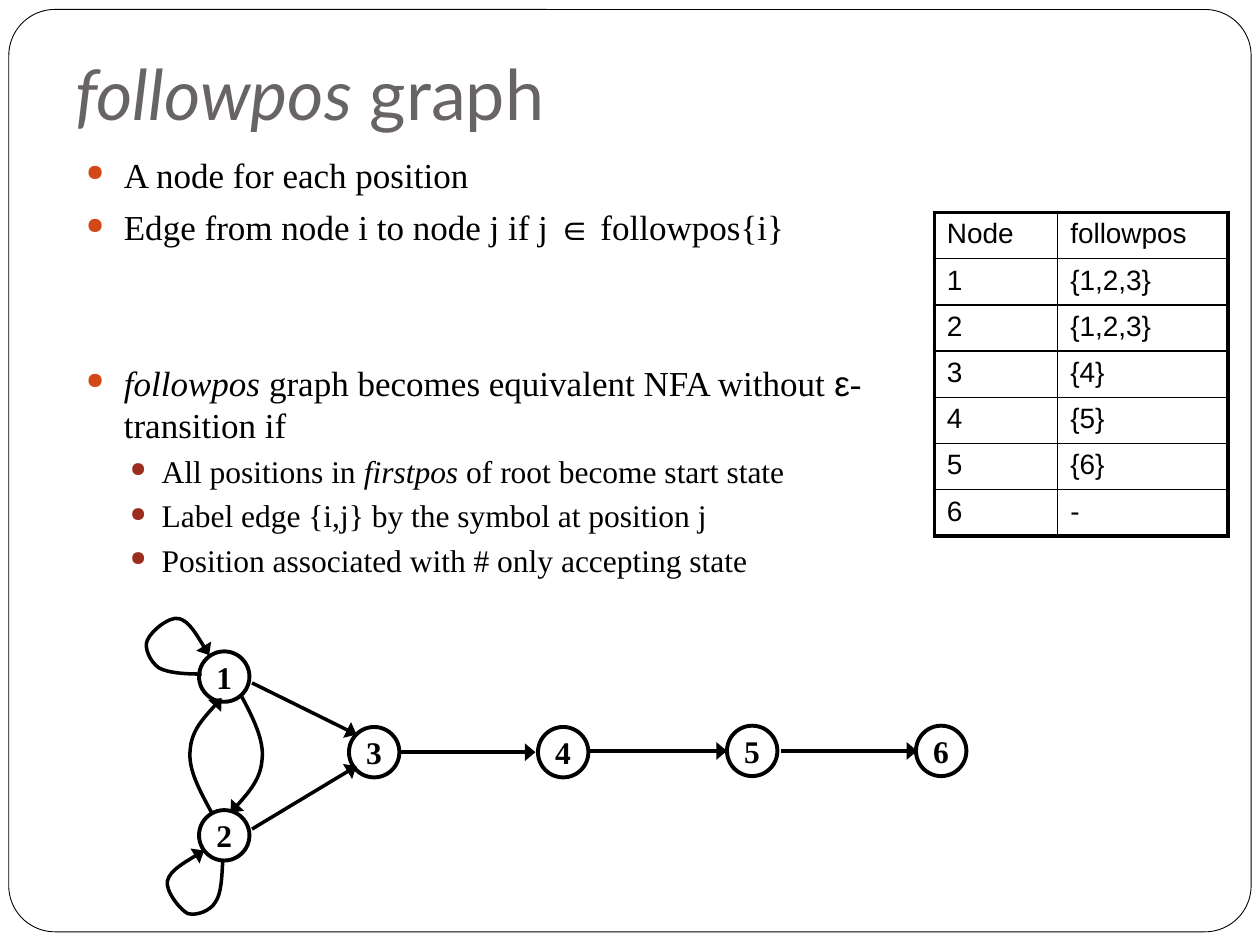
from pptx import Presentation
from pptx import util as u
from pptx.dml.color import RGBColor
from pptx.enum import shapes, text
from pptx.oxml import parse_xml
from pptx.oxml.ns import nsdecls, qn

hues = {"ink": "000000", "paper": "FFFFFF", "title": "696464",
        "main": "D34817", "sub": "9B2D1F"}
rgb = {name: RGBColor.from_string(code) for name, code in hues.items()}
ns = nsdecls("a")
serif = "Times New Roman"

deck = Presentation()
deck.slide_width, deck.slide_height = u.Inches(10), u.Inches(7.5)
slide = deck.slides.add_slide(deck.slide_layouts[6])
unit = deck.slide_width / 100


def grid(*cells):
    return [u.Emu(round(cell * unit)) for cell in cells]


def arrow(edge):
    edge.line.color.rgb = rgb["ink"]
    edge.line.width = u.Pt(2)
    props = edge.element.spPr
    props.find(qn("a:ln")).append(
        parse_xml(f'<a:tailEnd {ns} type="triangle" w="lg" len="med"/>'))
    props.append(parse_xml(f"<a:effectLst {ns}/>"))


frame = slide.shapes.add_shape(shapes.MSO_SHAPE.ROUNDED_RECTANGLE, *grid(0.7, 0.75, 98.6, 73.2))
frame.adjustments[0] = 0.05
frame.shadow.inherit = False
frame.fill.solid()
frame.fill.fore_color.rgb = rgb["paper"]
frame.line.color.rgb = rgb["ink"]
frame.line.width = u.Pt(0.5)

title = slide.shapes.add_textbox(*grid(5, 3, 81.7, 8.7)).text_frame
title.word_wrap = True
title.vertical_anchor = text.MSO_ANCHOR.BOTTOM
title.margin_bottom = grid(1)[0]
para = title.paragraphs[0]
para.font.size = u.Pt(40)
para.font.name = "Lato"
para.font.color.rgb = rgb["title"]
for words, slant in [("followpos", True), (" graph", False)]:
    run = para.add_run()
    run.text = words
    run.font.italic = slant

levels = [("main", 20, 5.8, 3, 3), ("sub", 18, 3.8, 6, 2.5)]
points = [
    (0, 0, [("A node for each position", "")]),
    (0, 0, [("Edge from node i to node j if j ∈ followpos{i}", "")]),
    (0, 59, [("followpos", "slant"), (" graph becomes equivalent NFA without ", ""),
             ("ε", "sans"), ("-transition if", "")]),
    (1, 0, [("All positions in ", ""), ("firstpos", "slant"),
            (" of root become start state", "")]),
    (1, 0, [("Label edge {i,j} by the symbol at position j", "")]),
    (1, 0, [("Position associated with # only accepting state", "")]),
]
body = slide.shapes.add_textbox(*grid(5.85, 11.7, 65, 61.7)).text_frame
body.word_wrap = True
for at, (level, gap, runs) in enumerate(points):
    hue, size, space, left, hang = levels[level]
    para = body.paragraphs[0] if at == 0 else body.add_paragraph()
    para.level = level
    para.space_before = u.Pt(space + gap)
    props = para._p.get_or_add_pPr()
    props.set("marL", str(grid(left)[0]))
    props.set("indent", str(-grid(hang)[0]))
    for tag in (f'<a:buClr {ns}><a:srgbClr val="{hues[hue]}"/></a:buClr>',
                f'<a:buSzPct {ns} val="65000"/>',
                f'<a:buChar {ns} char="●"/>'):
        props.append(parse_xml(tag))
    para.font.size = u.Pt(size)
    para.font.name = serif
    para.font.color.rgb = rgb["ink"]
    for words, style in runs:
        run = para.add_run()
        run.text = words
        if style == "slant":
            run.font.italic = True
        if style == "sans":
            run.font.name = "Arial"

rows = [("Node", "followpos"), ("1", "{1,2,3}"), ("2", "{1,2,3}"),
        ("3", "{4}"), ("4", "{5}"), ("5", "{6}"), ("6", "-")]
last = len(rows) - 1
table = slide.shapes.add_table(len(rows), 2, *grid(74.15, 16.85, 23.3, 25.7)).table
table.first_row = table.horz_banding = False
table.columns[0].width, table.columns[1].width = grid(9.8, 13.5)
for r, row in enumerate(rows):
    for c, words in enumerate(row):
        cell = table.cell(r, c)
        cell.text = words
        font = cell.text_frame.paragraphs[0].font
        font.size = u.Pt(16)
        font.name = "Arial"
        font.color.rgb = rgb["ink"]
        cell.fill.background()
        outer = [("L", c == 0), ("R", c == 1), ("T", r == 0), ("B", r == last)]
        for at, (side, thick) in enumerate(outer):
            width = u.Pt(2.25 if thick else 1)
            cell._tc.tcPr.insert(at, parse_xml(
                f'<a:ln{side} {ns} w="{width}"><a:solidFill>'
                f'<a:srgbClr val="{hues["ink"]}"/></a:solidFill></a:ln{side}>'))

nodes = [(15.8, 51.7), (15.8, 64.3), (27.7, 57.7), (42.7, 57.7), (57.7, 57.6), (72.7, 57.6)]
for label, (x, y) in enumerate(nodes, 1):
    node = slide.shapes.add_shape(shapes.MSO_SHAPE.OVAL, *grid(x, y, 4, 4))
    node.shadow.inherit = False
    node.fill.background()
    node.line.color.rgb = rgb["ink"]
    node.line.width = u.Pt(2.25)
    node.text_frame.word_wrap = False
    node.text_frame.vertical_anchor = text.MSO_ANCHOR.MIDDLE
    para = node.text_frame.paragraphs[0]
    para.text = str(label)
    para.alignment = text.PP_ALIGN.CENTER
    para.font.size = u.Pt(18)
    para.font.name = serif
    para.font.bold = True
    para.font.color.rgb = rgb["ink"]

curves = [
    [(19.2, 55.3), (20.1, 57), (21, 58.8), (20.8, 60.3), (20.7, 61.8), (19.5, 63.2), (18.3, 64.5)],
    [(16.8, 64.5), (15.9, 62.8), (14.9, 61.1), (15.1, 59.5), (15.2, 58), (16.4, 56.7), (17.6, 55.4)],
    [(16, 53.5), (14.6, 53.5), (13.3, 53.4), (12.6, 53), (11.9, 52.5), (11.4, 51.4),
     (11.7, 50.8), (12, 50.1), (13.4, 48.9), (14.2, 49.1), (15, 49.3), (15.8, 50.7), (16.6, 52)],
    [(17.7, 68.2), (17.6, 69.6), (17.6, 70.9), (17.1, 71.6), (16.7, 72.3), (15.6, 72.7),
     (14.9, 72.5), (14.3, 72.2), (13.1, 70.7), (13.3, 69.9), (13.5, 69.1), (14.9, 68.3), (16.2, 67.5)],
]
for knots in curves:
    pen = slide.shapes.build_freeform(*grid(*knots[0]))
    pen.add_line_segments([grid(*knot) for knot in knots[1:]], close=False)
    curve = pen.convert_to_shape()
    curve.fill.background()
    legs = list(curve.element.iter(qn("a:lnTo")))
    for at in range(0, len(legs), 3):
        bend = parse_xml(f"<a:cubicBezTo {ns}/>")
        legs[at].addprevious(bend)
        for leg in legs[at:at + 3]:
            bend.append(leg[0])
            leg.getparent().remove(leg)
    arrow(curve)

lines = [(20, 54.2, 28.3, 58.3), (20, 65.8, 28.3, 60.8), (31.7, 59.7, 42.5, 59.7),
         (46.8, 59.6, 57.7, 59.6), (62, 59.6, 72.8, 59.6)]
for ends in lines:
    arrow(slide.shapes.add_connector(shapes.MSO_CONNECTOR.STRAIGHT, *grid(*ends)))

deck.save("out.pptx")
